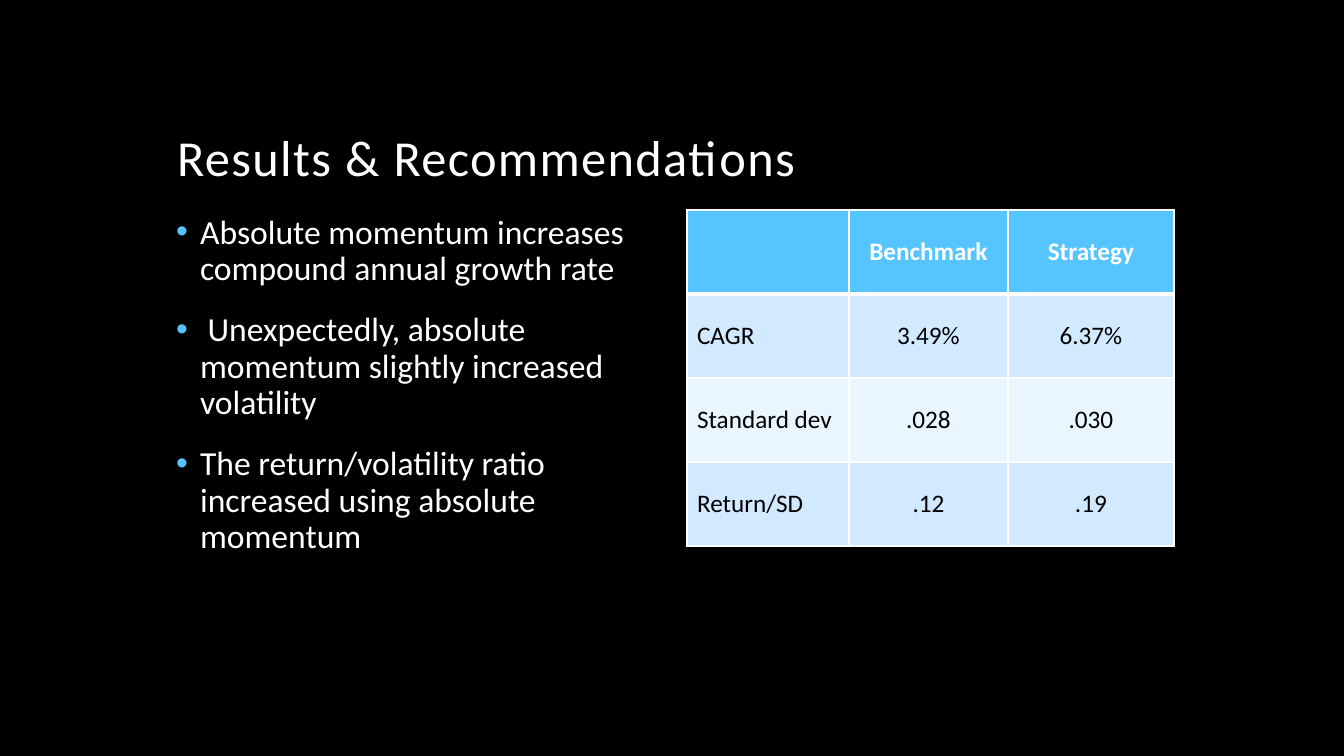
"""Build the results and recommendations slide with its findings and comparison table."""
from pptx import Presentation
from pptx import util as u
from pptx.dml.color import RGBColor
from pptx.enum import text
from pptx.oxml import parse_xml
from pptx.oxml.ns import nsdecls

THEME = {
    "font": "Calibri",
    "background": "000000",
    "light": "FFFFFF",
    "dark": "000000",
    "accent": "56C5FF",
    "bands": ["D1EAFF", "E9F5FF"],
    "title_size": 36,
    "body_size": 24,
    "table_size": 18,
}


def px(length):
    return u.Emu(round(length * 914400 / 100.8))


def style(paragraph, size, color, bold=False):
    font = paragraph.font
    font.name = THEME["font"]
    font.size = u.Pt(size)
    font.bold = bold
    font.color.rgb = RGBColor.from_string(color)


deck = Presentation()
deck.slide_width, deck.slide_height = px(1344), px(756)
slide = deck.slides.add_slide(deck.slide_layouts[1])
slide.background.fill.solid()
slide.background.fill.fore_color.rgb = RGBColor.from_string(THEME["background"])

title = slide.shapes.title
title.left, title.top, title.width, title.height = px(167), px(42), px(1008), px(151)
title.text_frame.text = "Results & Recommendations"
title.text_frame.vertical_anchor = text.MSO_ANCHOR.BOTTOM
title.text_frame.auto_size = text.MSO_AUTO_SIZE.NONE
heading = title.text_frame.paragraphs[0]
heading.alignment = text.PP_ALIGN.LEFT
heading.line_spacing = 0.9
style(heading, THEME["title_size"], THEME["light"])
heading._p.get_or_add_pPr().get_or_add_defRPr().set("spc", "100")

FINDINGS = [
    "Absolute momentum increases compound annual growth rate",
    " Unexpectedly, absolute momentum slightly increased volatility",
    "The return/volatility ratio increased using absolute momentum",
]
findings = slide.placeholders[1]
findings.left, findings.top, findings.width, findings.height = px(166), px(210), px(487), px(454)
findings.text_frame.text = "\n".join(FINDINGS)
findings.text_frame.auto_size = text.MSO_AUTO_SIZE.NONE
for finding in findings.text_frame.paragraphs:
    finding.line_spacing = 0.9
    finding.space_before = u.Pt(18)
    style(finding, THEME["body_size"], THEME["light"])
    properties = finding._p.get_or_add_pPr()
    properties.set("marL", str(px(24)))
    properties.set("indent", str(-px(24)))
    for bullet in (
        f'<a:buClr {nsdecls("a")}><a:srgbClr val="{THEME["accent"]}"/></a:buClr>',
        f'<a:buFont {nsdecls("a")} typeface="Arial"/>',
        f'<a:buChar {nsdecls("a")} char="•"/>',
    ):
        properties.insert_element_before(parse_xml(bullet), "a:tabLst", "a:defRPr", "a:extLst")

RESULTS = [
    ["", "Benchmark", "Strategy"],
    ["CAGR", "3.49%", "6.37%"],
    ["Standard dev", ".028", ".030"],
    ["Return/SD", ".12", ".19"],
]
COLUMN_WIDTHS = [162, 159, 166]
ROW_HEIGHT = 84
results = slide.shapes.add_table(
    len(RESULTS), len(COLUMN_WIDTHS), px(687), px(210),
    px(sum(COLUMN_WIDTHS)), px(ROW_HEIGHT * len(RESULTS))).table
for column, width in zip(results.columns, COLUMN_WIDTHS):
    column.width = px(width)
for r, values in enumerate(RESULTS):
    results.rows[r].height = px(ROW_HEIGHT)
    header = r == 0
    band = THEME["accent"] if header else THEME["bands"][(r - 1) % 2]
    borders = {"lnL": 1, "lnR": 1, "lnT": 3 if r == 1 else 1, "lnB": 3 if header else 1}
    for c, value in enumerate(values):
        cell = results.cell(r, c)
        cell.text = value
        cell.vertical_anchor = text.MSO_ANCHOR.MIDDLE
        cell.fill.solid()
        cell.fill.fore_color.rgb = RGBColor.from_string(band)
        entry = cell.text_frame.paragraphs[0]
        entry.alignment = text.PP_ALIGN.CENTER if c else text.PP_ALIGN.LEFT
        style(entry, THEME["table_size"], THEME["light"] if header else THEME["dark"], header)
        for position, (edge, weight) in enumerate(borders.items()):
            cell._tc.get_or_add_tcPr().insert(position, parse_xml(
                f'<a:{edge} {nsdecls("a")} w="{u.Pt(weight)}"><a:solidFill>'
                f'<a:srgbClr val="{THEME["light"]}"/></a:solidFill></a:{edge}>'))

deck.save("out.pptx")
